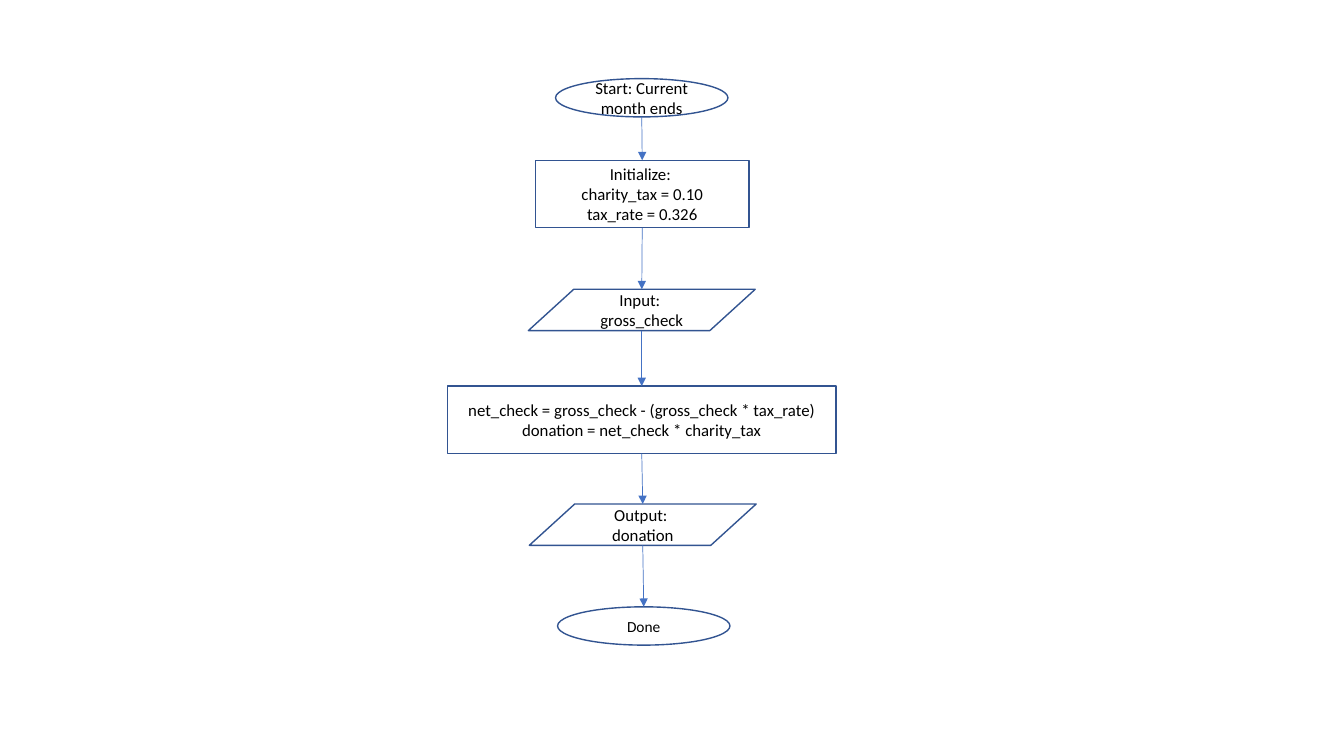
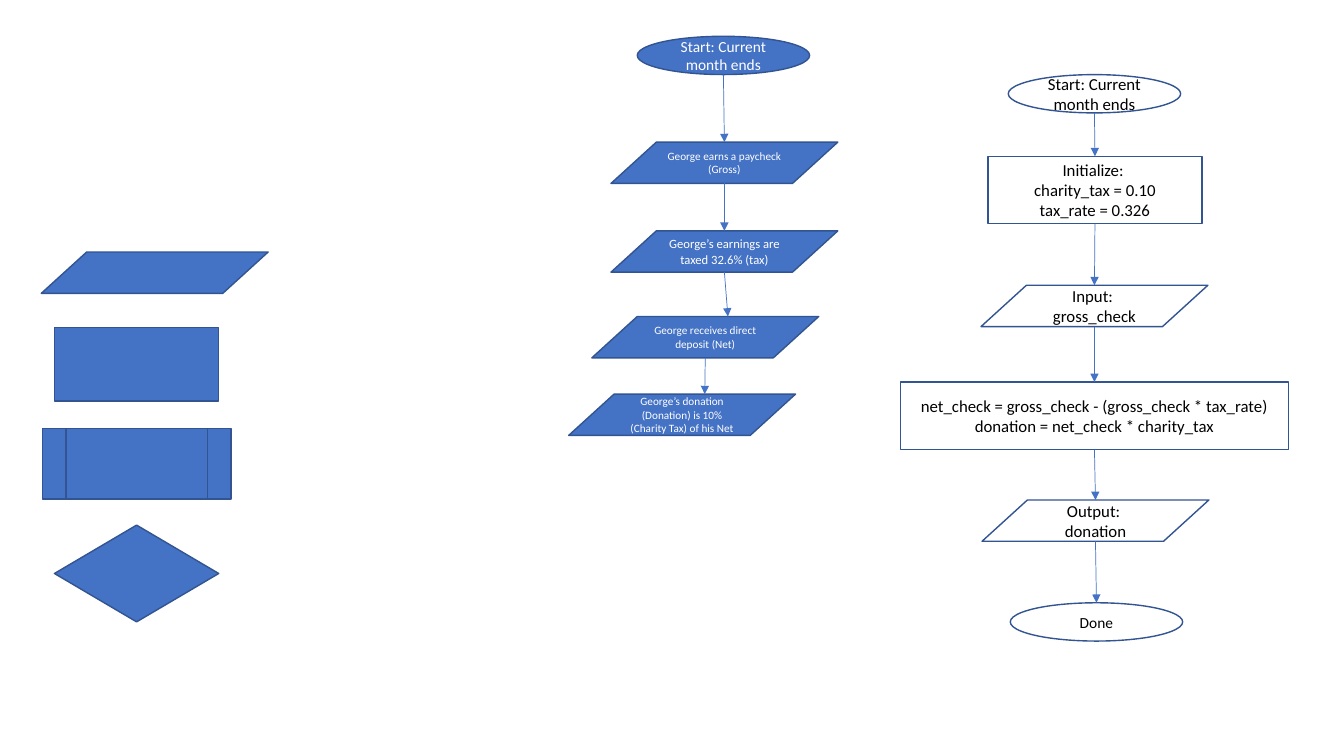
from dataclasses import dataclass
from pptx import Presentation
from pptx.dml.color import RGBColor
from pptx.enum.shapes import MSO_CONNECTOR, MSO_SHAPE
from pptx.enum.text import MSO_ANCHOR, PP_ALIGN
from pptx.oxml.ns import qn
from pptx.util import Inches, Pt
from lxml.etree import SubElement


@dataclass(frozen=True)
class Theme:
    blue: RGBColor = RGBColor(0x44, 0x72, 0xC4)
    edge: RGBColor = RGBColor(0x32, 0x54, 0x91)
    black: RGBColor = RGBColor(0, 0, 0)
    white: RGBColor = RGBColor(0xFF, 0xFF, 0xFF)
    font: str = "Calibri"
    body: int = 12
    small: int = 11
    note: int = 9
    tiny: int = 8
    border: float = 1
    link: float = 0.5


THEME = Theme()
OVAL = MSO_SHAPE.OVAL
STEP = MSO_SHAPE.FLOWCHART_PROCESS
DATA = MSO_SHAPE.FLOWCHART_DATA
CALL = MSO_SHAPE.FLOWCHART_PREDEFINED_PROCESS
TEST = MSO_SHAPE.FLOWCHART_DECISION

# Width and height of each kind of node
SIZES = {OVAL: (1.71, 0.38), STEP: (2.12, 0.67), DATA: (2.25, 0.41)}
WIDE = (3.85, 0.67)


def write(frame, text, size=THEME.body, color=THEME.black, align=PP_ALIGN.CENTER):
    """Fill a text frame, one paragraph per line of text."""
    frame.word_wrap = True
    frame.vertical_anchor = MSO_ANCHOR.MIDDLE
    frame.text = text
    for para in frame.paragraphs:
        para.alignment = align
        para.font.name = THEME.font
        para.font.size = Pt(size)
        para.font.color.rgb = color


class Deck:
    def __init__(self, theme):
        self.theme = theme
        self.prs = Presentation()
        self.prs.slide_width = Inches(13.33)
        self.prs.slide_height = Inches(7.5)

    def page(self):
        self.slide = self.prs.slides.add_slide(self.prs.slide_layouts[6])
        self.shapes = self.slide.shapes

    def node(self, kind, left, top, text="", dims=None, solid=False, size=THEME.body):
        """Add a flowchart symbol, outlined or solid."""
        width, height = dims or SIZES[kind]
        box = self.shapes.add_shape(
            kind, Inches(left), Inches(top), Inches(width), Inches(height))
        box.shadow.inherit = False
        box.line.color.rgb = self.theme.edge
        box.line.width = Pt(self.theme.border)
        if solid:
            box.fill.solid()
            box.fill.fore_color.rgb = self.theme.blue
        else:
            box.fill.background()
        if text:
            color = self.theme.white if solid else self.theme.black
            write(box.text_frame, text, size=size, color=color)
        return box

    def arrow(self, above, below, share=0.5):
        """Link bottom centre to a share of the width of the next top edge."""
        line = self.shapes.add_connector(
            MSO_CONNECTOR.STRAIGHT,
            above.left + above.width // 2, above.top + above.height,
            below.left + int(below.width * share), below.top)
        line.line.color.rgb = self.theme.blue
        line.line.width = Pt(self.theme.link)
        SubElement(line.line._get_or_add_ln(), qn("a:tailEnd"), type="triangle")
        SubElement(line._element.spPr, qn("a:effectLst"))

    def chain(self, nodes, shares):
        for above, below, share in zip(nodes, nodes[1:], shares):
            self.arrow(above, below, share)

    def flow(self, left, top):
        """Add the grouped donation flowchart at its top left corner."""
        steps = (
            (OVAL, 1.07, 0, "Start: Current month ends", None, THEME.body),
            (STEP, 0.87, 0.81, "Initialize: \ncharity_tax = 0.10\ntax_rate = 0.326",
             None, THEME.body),
            (DATA, 0.8, 2.09, "Input: \ngross_check", None, THEME.body),
            (STEP, 0, 3.05, "net_check = gross_check - (gross_check * tax_rate)\n"
             "donation = net_check * charity_tax", WIDE, THEME.body),
            (DATA, 0.81, 4.22, "Output: \ndonation", None, THEME.body),
            (OVAL, 1.09, 5.24, "Done", None, THEME.small),
        )
        self.shapes = self.slide.shapes.add_group_shape().shapes
        nodes = [self.node(kind, left + x, top + y, text, dims, size=size)
                 for kind, x, y, text, dims, size in steps]
        self.chain(nodes, [0.5] * 5)
        self.shapes = self.slide.shapes


def main():
    deck = Deck(THEME)

    # Slide 1: the flowchart alone
    deck.page()
    deck.flow(4.44, 0.78)

    # Slide 2: symbols, first draft and flowchart
    deck.page()
    for kind, left, top, dims in (
        (DATA, 0.41, 2.5, None),
        (STEP, 0.54, 3.25, (1.63, 0.73)),
        (CALL, 0.42, 4.25, (1.87, 0.7)),
        (TEST, 0.54, 5.21, (1.63, 0.96)),
    ):
        deck.node(kind, left, top, dims=dims, solid=True)

    draft = (
        (OVAL, 6.32, 0.36, "Start: Current month ends", THEME.small),
        (DATA, 6.06, 1.41, "George earns a paycheck (Gross)", THEME.tiny),
        (DATA, 6.06, 2.29, "George’s earnings are taxed 32.6% (tax)", THEME.note),
        (DATA, 5.87, 3.14, "George receives direct deposit (Net)", THEME.tiny),
        (DATA, 5.64, 3.91,
         "George’s donation (Donation) is 10% (Charity Tax) of his Net", THEME.tiny),
    )
    nodes = [deck.node(kind, left, top, text, solid=True, size=size)
             for kind, left, top, text, size in draft]
    deck.chain(nodes, (0.5, 0.5, 0.6, 0.6))
    deck.flow(8.93, 0.74)

    deck.prs.save("out.pptx")


if __name__ == "__main__":
    main()
